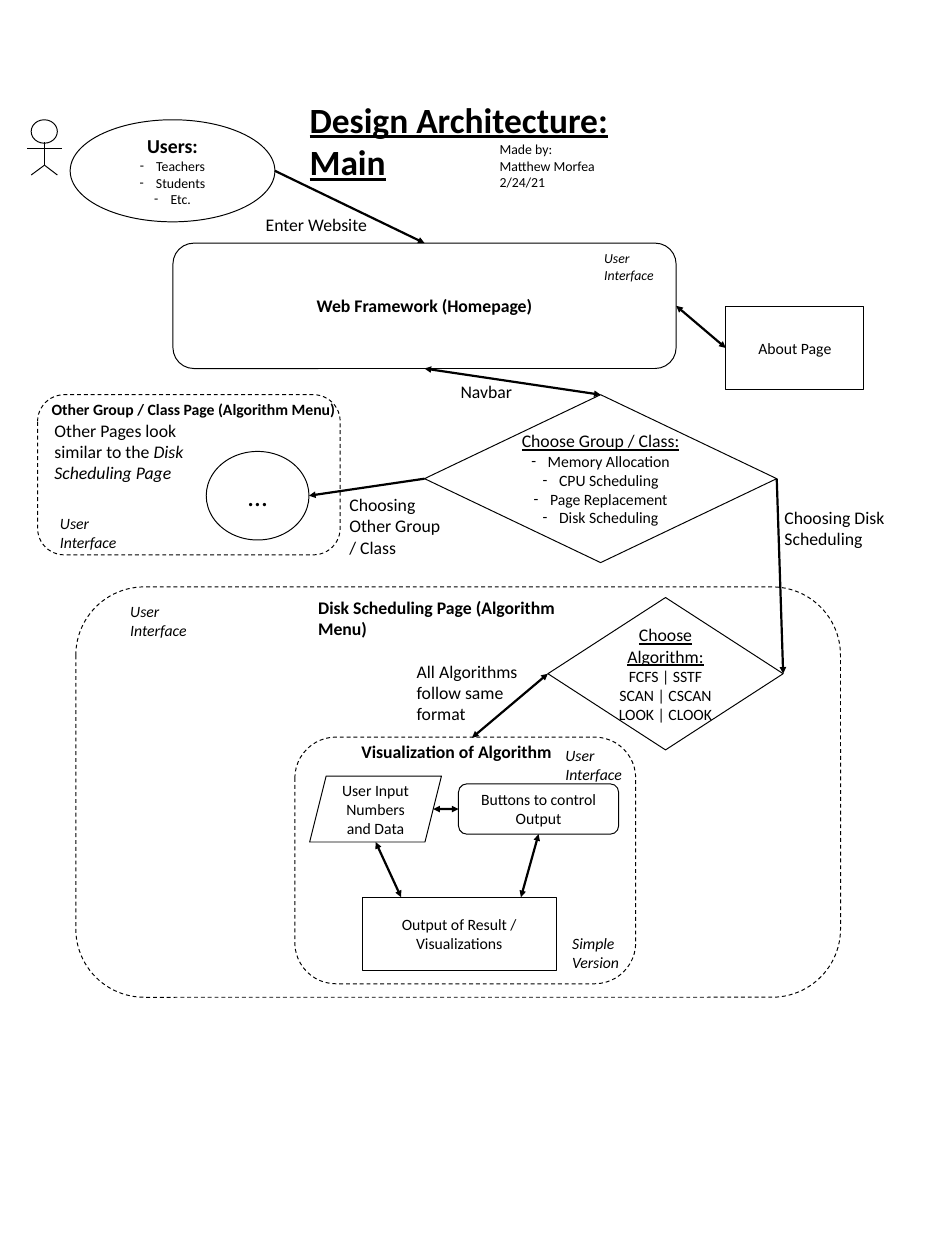
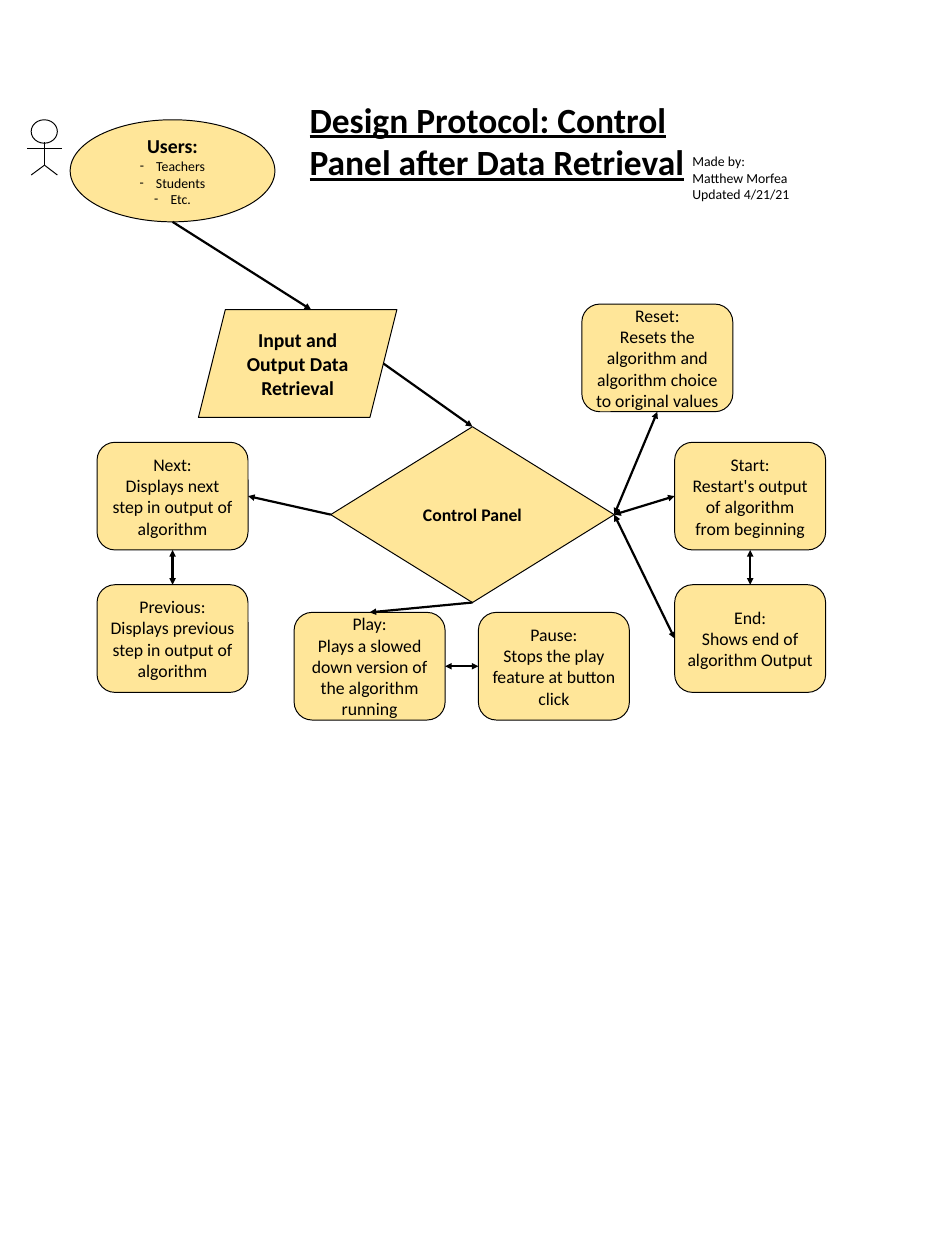
from lxml import etree
from pptx import Presentation
from pptx.dml.color import RGBColor
from pptx.enum import dml, shapes, text
from pptx.oxml import ns
from pptx.util import Pt

COLORS = {"ink": "000000", "paper": "FFFFFF", "sand": "FFE699"}
FONT = "Calibri"
THIN, THICK = 1, 2.25
BULLET_INDENT = 16.6
TOP, LEFT, BOTTOM, RIGHT = range(4)

RECT = shapes.MSO_SHAPE.RECTANGLE
ROUND = shapes.MSO_SHAPE.ROUNDED_RECTANGLE
OVAL = shapes.MSO_SHAPE.OVAL
DIAMOND = shapes.MSO_SHAPE.DIAMOND
SLANTED = shapes.MSO_SHAPE.PARALLELOGRAM

# A paragraph is (text, size, style): b bold, i italic, u underlined, - bulleted.
# Words between asterisks are italic.
USERS = (OVAL, (71.3, 121.7, 208, 103.7),
         [("Users:", 20, "b")] + [(who, 14, "-") for who in ("Teachers", "Students", "Etc.")])
PERSON_HEAD = (31.7, 121.7, 26.6, 23.8)
PERSON_LINES = [
    ((45.2, 167.8), (45.2, 144.7)),
    ((31.7, 177.8), (45.2, 167.8)),
    ((58.3, 177.8), (45.2, 167.8)),
    ((62.6, 151.2), (27.4, 151.2)),
]

# Boxes: name -> (preset, place, paragraphs)
MAIN_FRAMES = [
    (77, 596.2, 776.9, 416.9),
    (299.5, 748.8, 346.3, 250.6),
    (38.2, 401, 307.4, 162.7),
]
MAIN_BOXES = {
    "homepage": (ROUND, (175.7, 247, 511.2, 127.4), [("Web Framework (Homepage)", 18, "b")]),
    "about": (RECT, (737.3, 311, 140.4, 85), [("About Page", 16, "")]),
    "group": (DIAMOND, (431.3, 401, 357.8, 170.6), [
        ("Choose Group / Class:", 18, "u"),
        ("Memory Allocation", 16, "-"),
        ("CPU Scheduling", 16, "-"),
        ("Page Replacement", 16, "-"),
        ("Disk Scheduling", 16, "-"),
    ]),
    "input": (SLANTED, (314.6, 788.4, 133.9, 67), [("User Input Numbers and Data", 16, "")]),
    "buttons": (ROUND, (465.8, 796.3, 162.7, 51.1), [("Buttons to control Output", 16, "")]),
    "algorithm": (DIAMOND, (556.6, 607, 239, 154.8), [
        ("Choose Algorithm:", 18, "u"),
        ("FCFS | SSTF", 16, ""),
        ("SCAN | CSCAN", 16, ""),
        ("LOOK | CLOOK", 16, ""),
    ]),
    "output": (RECT, (367.9, 911.5, 197.3, 74.9),
               [("Output of Result / Visualizations", 16, "")]),
    "more": (OVAL, (209.5, 458.6, 104.4, 90), [("…", 28, "")]),
}
MAIN_LABELS = [
    ((316.1, 602.6, 299.5, 38.2), ("Disk Scheduling Page (Algorithm Menu)", 18, "b")),
    ((360, 749.5, 239, 38.2), ("Visualization of Algorithm", 18, "b")),
    ((45.4, 402.5, 307.4, 43.2), ("Other Group / Class Page (Algorithm Menu)", 16, "b")),
    ((48.2, 422.6, 155.5, 60.5),
     ("Other Pages look similar to the *Disk Scheduling Page*", 18, "")),
    ((789.8, 511.2, 140.4, 42.5), ("Choosing Disk Scheduling", 18, "")),
    ((460.8, 383, 140.4, 24.5), ("Navbar", 18, "")),
    ((416.2, 667.4, 140.4, 72.7), ("All Algorithms follow same format", 18, "")),
    ((347.8, 498.2, 108.7, 60.5), ("Choosing Other Group / Class", 18, "")),
    ((262.8, 213.8, 144.7, 28.8), ("Enter Website", 18, "")),
]
MAIN_TAGS = [
    ((604.8, 248.4, 82.1, 38.2), ("User Interface", 14, "i")),
    ((123.1, 605.5, 87.1, 42.5), ("User Interface", 16, "i")),
    ((51.8, 516.2, 87.1, 42.5), ("User Interface", 16, "i")),
    ((565.2, 751.7, 87.1, 42.5), ("User Interface", 16, "i")),
    ((571.7, 942.5, 87.1, 51.1), ("Simple Version", 16, "i")),
]
# Arrows: start, end, both ways; an end is (box, side) or a point
MAIN_ARROWS = [
    (("users", RIGHT), ("homepage", TOP), False),
    (("group", RIGHT), ("algorithm", RIGHT), False),
    (("group", LEFT), ("more", RIGHT), False),
    (("algorithm", LEFT), (479.5, 749.5), True),
    (("input", RIGHT), ("buttons", LEFT), True),
    (("homepage", RIGHT), ("about", LEFT), True),
    (("homepage", BOTTOM), ("group", TOP), True),
    ((407.5, 911.5), (381.6, 855.4), True),
    ((529.2, 911.5), ("buttons", BOTTOM), True),
]

BUTTON_SIZE = (153.4, 109.4)
BUTTONS = {
    "next": (98.6, 449.3, "Next:", "Displays next step in output of algorithm"),
    "previous": (98.6, 594, "Previous:", "Displays previous step in output of algorithm"),
    "play": (298.8, 622.1, "Play:", "Plays a slowed down version of the algorithm running"),
    "pause": (486, 622.1, "Pause:", "Stops the play feature at button click"),
    "start": (685.4, 449.3, "Start:", "Restart's output of algorithm from beginning"),
    "end": (685.4, 594, "End:", "Shows end of algorithm Output"),
    "reset": (591.1, 308.9, "Reset:",
              "Resets the algorithm and algorithm choice to original values"),
}
CONTROL_BOXES = {
    "panel": (DIAMOND, (336, 433.5, 288, 178.6), [("Control Panel", 18, "b")]),
    "data": (SLANTED, (201.6, 314.6, 201.6, 109.4),
             [("Input and Output Data Retrieval", 20, "b")]),
    **{name: (ROUND, (x, y, *BUTTON_SIZE), [(head, 18, ""), (action, 18, "")])
       for name, (x, y, head, action) in BUTTONS.items()},
}
CONTROL_ARROWS = [
    (("users", BOTTOM), ("data", TOP), False),
    (("data", RIGHT), ("panel", TOP), False),
    (("next", BOTTOM), ("previous", TOP), True),
    (("panel", LEFT), ("next", RIGHT), False),
    (("panel", BOTTOM), ("play", TOP), False),
    (("pause", LEFT), ("play", RIGHT), True),
    (("end", LEFT), ("panel", RIGHT), True),
    (("start", LEFT), ("panel", RIGHT), True),
    (("reset", BOTTOM), ("panel", RIGHT), True),
    (("start", BOTTOM), ("end", TOP), True),
]

SLIDES = [
    dict(title="Design Architecture: Main", title_width=338.4,
         credit=["Made by:", "Matthew Morfea", "2/24/21"], credit_at=(500.4, 139.7),
         fill=None, frames=MAIN_FRAMES, boxes=MAIN_BOXES, white=["algorithm"],
         labels=MAIN_LABELS, tags=MAIN_TAGS, arrows=MAIN_ARROWS),
    dict(title="Design Protocol: Control Panel after Data Retrieval", title_width=464.4,
         credit=["Made by:", "Matthew Morfea", "Updated 4/21/21"], credit_at=(696.2, 151.9),
         fill="sand", frames=[], boxes=CONTROL_BOXES, white=[],
         labels=[], tags=[], arrows=CONTROL_ARROWS),
]


def color(name):
    return RGBColor.from_string(COLORS[name])


def points(lengths):
    return [Pt(length) for length in lengths]


def add_bullet(paragraph):
    props = paragraph._p.get_or_add_pPr()
    props.set("marL", str(Pt(BULLET_INDENT)))
    props.set("indent", str(-Pt(BULLET_INDENT)))
    font = etree.Element(ns.qn("a:buFont"), typeface=FONT)
    mark = etree.Element(ns.qn("a:buChar"), char="-")
    props.insert(0, font)
    props.insert(1, mark)


def write(shape, paragraphs, centred=False):
    frame = shape.text_frame
    frame.word_wrap = True
    frame.vertical_anchor = text.MSO_ANCHOR.MIDDLE if centred else text.MSO_ANCHOR.TOP
    for number, (words, size, style) in enumerate(paragraphs):
        paragraph = frame.paragraphs[0] if number == 0 else frame.add_paragraph()
        paragraph.alignment = text.PP_ALIGN.CENTER if centred else text.PP_ALIGN.LEFT
        font = paragraph.font
        font.name, font.size = FONT, Pt(size)
        font.color.rgb = color("ink")
        font.bold, font.italic, font.underline = (flag in style for flag in "biu")
        if "-" in style:
            add_bullet(paragraph)
        for part, piece in enumerate(words.split("*")):
            if piece:
                run = paragraph.add_run()
                run.text = piece
                if part % 2:
                    run.font.italic = True


def add_box(slide, preset, place, fill=None, outlined=True, dashed=False):
    box = slide.shapes.add_shape(preset, *points(place))
    box.shadow.inherit = False
    if fill:
        box.fill.solid()
        box.fill.fore_color.rgb = color(fill)
    else:
        box.fill.background()
    if outlined:
        box.line.color.rgb = color("ink")
        box.line.width = Pt(THIN)
    else:
        box.line.fill.background()
    if dashed:
        box.line.dash_style = dml.MSO_LINE.DASH
    return box


def add_text(slide, place, paragraphs):
    write(slide.shapes.add_textbox(*points(place)), paragraphs)


def add_line(slide, start, end, width, heads=()):
    line = slide.shapes.add_connector(
        shapes.MSO_CONNECTOR.STRAIGHT, *points(start), *points(end))
    line.line.color.rgb = color("ink")
    line.line.width = Pt(width)
    for head in heads:
        etree.SubElement(line.line._get_or_add_ln(), ns.qn(head), type="triangle")
    etree.SubElement(line._element.spPr, ns.qn("a:effectLst"))
    return line


def side_point(preset, place, side):
    """Middle of a side, allowing for the slant of a parallelogram."""
    x, y, width, height = place
    slant = height / 8 if preset == SLANTED else 0
    return {
        TOP: (x + width / 2 + slant, y),
        LEFT: (x + slant, y + height / 2),
        BOTTOM: (x + width / 2 - slant, y + height),
        RIGHT: (x + width - slant, y + height / 2),
    }[side]


def add_arrow(slide, boxes, drawn, start, end, both_ways):
    ends = [side_point(*boxes[at[0]][:2], at[1]) if at[0] in boxes else at
            for at in (start, end)]
    heads = ("a:headEnd", "a:tailEnd") if both_ways else ("a:tailEnd",)
    arrow = add_line(slide, *ends, THICK, heads)
    for at, connect in ((start, arrow.begin_connect), (end, arrow.end_connect)):
        if at[0] in boxes and boxes[at[0]][0] in (RECT, ROUND, DIAMOND):
            connect(drawn[at[0]], at[1])


def add_person(slide):
    add_box(slide, OVAL, PERSON_HEAD, "paper")
    for start, end in PERSON_LINES:
        add_line(slide, start, end, THIN)


def build_slide(deck, page):
    slide = deck.slides.add_slide(deck.slide_layouts[6])
    add_text(slide, (307.4, 95.8, page["title_width"], 94.3), [(page["title"], 36, "bu")])
    add_text(slide, (*page["credit_at"], 151.2, 58.3),
             [(line, 14, "") for line in page["credit"]])
    add_person(slide)
    for place in page["frames"]:
        add_box(slide, ROUND, place, dashed=True)
    boxes = {"users": USERS, **page["boxes"]}
    drawn = {}
    for name, (preset, place, paragraphs) in boxes.items():
        fill = "paper" if name in page["white"] else page["fill"]
        drawn[name] = add_box(slide, preset, place, fill)
        write(drawn[name], paragraphs, centred=True)
    for place, paragraph in page["labels"]:
        add_text(slide, place, [paragraph])
    for place, paragraph in page["tags"]:
        write(add_box(slide, ROUND, place, outlined=False), [paragraph])
    for arrow in page["arrows"]:
        add_arrow(slide, boxes, drawn, *arrow)


def main():
    deck = Presentation()
    deck.slide_width, deck.slide_height = Pt(960), Pt(1280)
    for page in SLIDES:
        build_slide(deck, page)
    deck.save("out.pptx")


if __name__ == "__main__":
    main()
